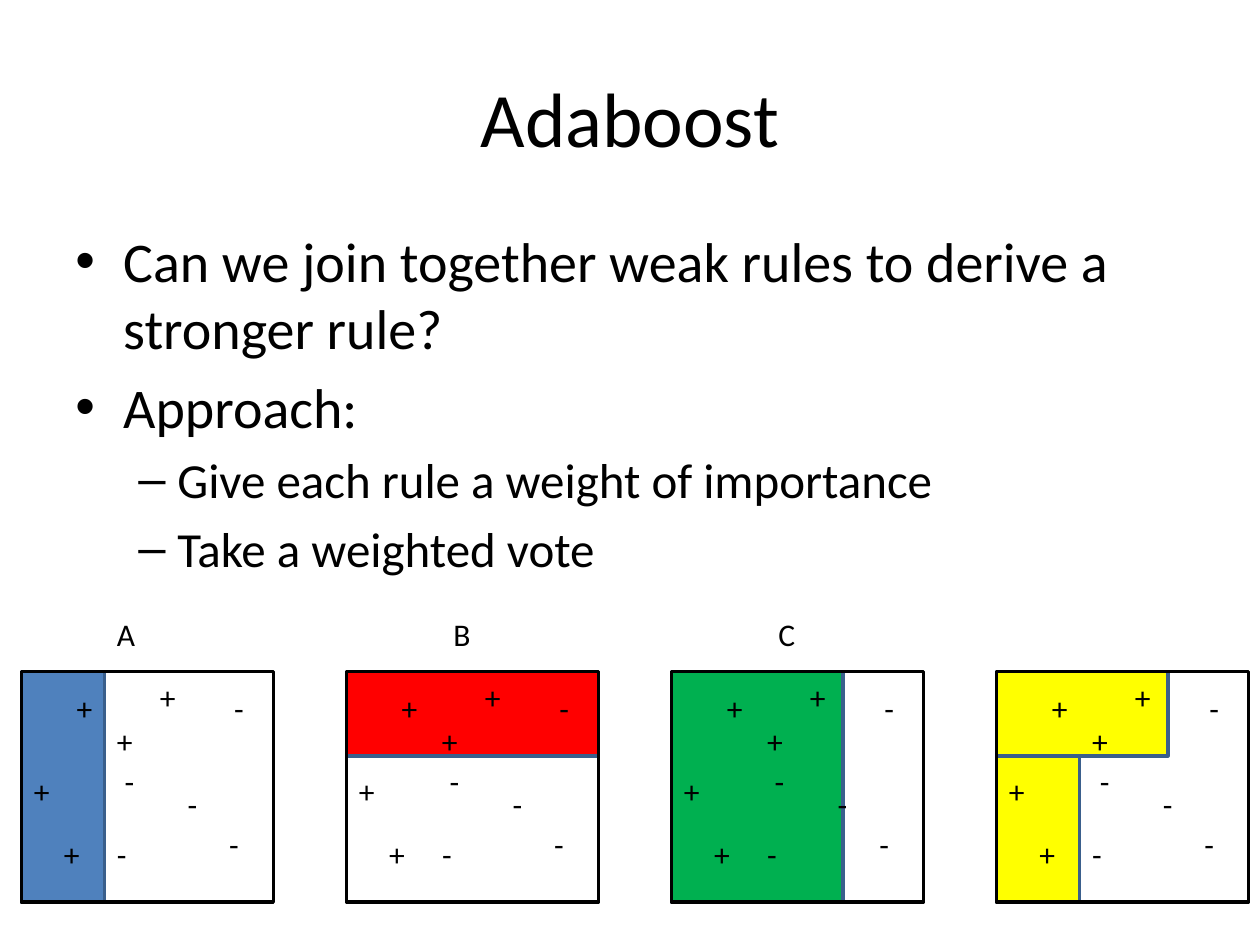
from lxml.etree import SubElement
from pptx import Presentation
from pptx.dml.color import RGBColor
from pptx.enum.shapes import MSO_SHAPE
from pptx.enum.text import MSO_ANCHOR, MSO_AUTO_SIZE, PP_ALIGN
from pptx.oxml.ns import qn
from pptx.util import Inches, Pt

COLORS = {
    "text": "000000", "frame": "000000", "edge": "3A5F8C",
    "blue": "4F81BD", "red": "FF0000", "green": "00B050", "yellow": "FFFF00",
}


class Deck:
    """Holds the style and the current slide."""
    font = "Calibri"

    def __init__(self):
        self.show = Presentation()
        self.show.slide_width = Inches(10)
        self.show.slide_height = Inches(7.5)
        self.slide = self.show.slides.add_slide(self.show.slide_layouts[6])

    def color(self, name):
        return RGBColor.from_string(COLORS[name])

    def style(self, para, size):
        for run in para.runs:
            run.font.name = self.font
            run.font.size = Pt(size)
            run.font.color.rgb = self.color("text")

    def box(self, x, y, w, h):
        area = self.slide.shapes.add_textbox(Inches(x), Inches(y), Inches(w), Inches(h))
        area.text_frame.word_wrap = True
        return area.text_frame

    def title(self, text, x, y, w, h):
        frame = self.box(x, y, w, h)
        frame.vertical_anchor = MSO_ANCHOR.MIDDLE
        frame.text = text
        para = frame.paragraphs[0]
        para.alignment = PP_ALIGN.CENTER
        self.style(para, 44)

    def bullets(self, items, x, y, w, h):
        # level: left indent, hanging indent, mark, size
        levels = [(0.38, 0.38, "•", 32), (0.81, 0.31, "–", 28)]
        frame = self.box(x, y, w, h)
        for i, (level, text) in enumerate(items):
            left, hang, mark, size = levels[level]
            para = frame.add_paragraph() if i else frame.paragraphs[0]
            para.text = text
            para.level = level
            if i:
                para.space_before = Pt(size * 0.2)
            props = para._p.get_or_add_pPr()
            props.set("marL", str(Inches(left)))
            props.set("indent", str(-Inches(hang)))
            SubElement(props, qn("a:buFont"), typeface="Arial")
            SubElement(props, qn("a:buChar"), char=mark)
            self.style(para, size)

    def label(self, text, x, y, w):
        frame = self.box(x, y, w, 0.4)
        frame.word_wrap = False
        frame.auto_size = MSO_AUTO_SIZE.SHAPE_TO_FIT_TEXT
        frame.text = text
        self.style(frame.paragraphs[0], 18)

    def rect(self, x, y, w, h, line, fill=None):
        shape = self.slide.shapes.add_shape(
            MSO_SHAPE.RECTANGLE, Inches(x), Inches(y), Inches(w), Inches(h))
        shape.shadow.inherit = False
        if fill:
            shape.fill.solid()
            shape.fill.fore_color.rgb = self.color(fill)
        else:
            shape.fill.background()
        shape.line.color.rgb = self.color(line)
        shape.line.width = Pt(2)


# Panel grid, and what each panel holds
LEFT, TOP, STEP = 0.17, 5.33, 2.58
WIDE, HIGH = 2, 1.83
REGIONS = [
    [("blue", 0.66, HIGH)],
    [("red", WIDE, 0.67)],
    [("green", 1.36, HIGH)],
    [("yellow", 0.66, HIGH), ("yellow", 1.36, 0.67)],
]
# Sample points, as offsets from a panel's corner
POINTS = {
    "+": [(0.24, 1.25), (0, 0.75), (0.34, 0.09), (0.66, 0.35), (1, 0)],
    "-": [(1.59, 0.09), (0.72, 0.67), (1.22, 0.85), (0.66, 1.25), (1.55, 1.17)],
}
WIDTHS = {"+": 0.33, "-": 0.28}


def main():
    deck = Deck()

    # Heading and main points
    deck.title("Adaboost", 0.5, 0.3, 9, 1.25)
    deck.bullets([
        (0, "Can we join together weak rules to derive a stronger rule?"),
        (0, "Approach:"),
        (1, "Give each rule a weight of importance"),
        (1, "Take a weighted vote"),
    ], 0.5, 1.75, 9, 4.95)

    # Four panels: shaded regions, frame, sample points
    for i, regions in enumerate(REGIONS):
        x = LEFT + i * STEP
        for fill, w, h in regions:
            deck.rect(x, TOP, w, h, "edge", fill)
        deck.rect(x, TOP, WIDE, HIGH, "frame")
        for sign, spots in POINTS.items():
            for dx, dy in spots:
                deck.label(sign, x + dx, TOP + dy, WIDTHS[sign])

    # Rule names
    for name, x in [("A", 0.83), ("B", 3.5), ("C", 6.08)]:
        deck.label(name, x, 4.83, 0.34)

    deck.show.save("out.pptx")


if __name__ == "__main__":
    main()
